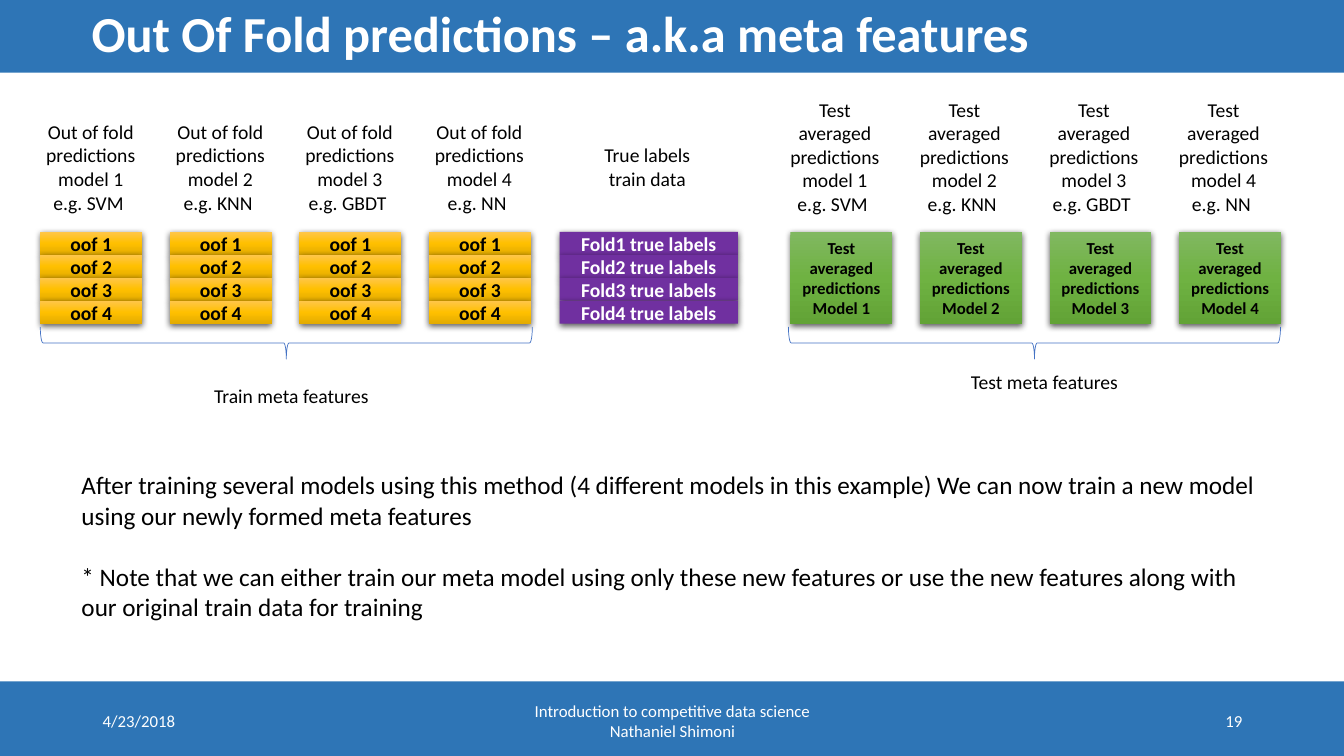
from copy import deepcopy

from lxml.etree import SubElement
from pptx import Presentation
from pptx.dml.color import RGBColor
from pptx.enum.shapes import MSO_SHAPE
from pptx.enum.text import MSO_ANCHOR, PP_ALIGN
from pptx.oxml.ns import qn
from pptx.util import Inches, Pt

BLUE = RGBColor(0x2E, 0x75, 0xB6)
BRACE = RGBColor(0x44, 0x72, 0xC4)
WHITE = RGBColor(0xFF, 0xFF, 0xFF)
BLACK = RGBColor(0x00, 0x00, 0x00)
PURPLE = [RGBColor(0x70, 0x30, 0xA0)]
GOLD = [RGBColor(0xFF, 0xC6, 0x4B), RGBColor(0xFF, 0xC0, 0x00), RGBColor(0xE3, 0xAB, 0x00)]
GREEN = [RGBColor(0x81, 0xB8, 0x61), RGBColor(0x6F, 0xB2, 0x42), RGBColor(0x62, 0xA3, 0x36)]

MODELS = ["SVM", "KNN", "GBDT", "NN"]
COL_W, COL_STEP = 1.01, 1.285
ROW_H = 0.228
HEAD_W = 1.12


def write(sp, text, size, color=BLACK, bold=False, align=PP_ALIGN.CENTER, anchor=MSO_ANCHOR.MIDDLE):
    """Put formatted text into a shape."""
    tf = sp.text_frame
    tf.word_wrap = True
    tf.vertical_anchor = anchor
    tf.text = text
    for p in tf.paragraphs:
        p.alignment = align
        for r in p.runs:
            r.font.name, r.font.size = "Calibri", Pt(size)
            r.font.color.rgb, r.font.bold = color, bold
    return tf


def add_text(s, box, text, size, **style):
    """Add a text box."""
    sp = s.shapes.add_textbox(*map(Inches, box))
    return write(sp, text, size, **style)


def add_band(s, box):
    """Add a plain blue band."""
    sp = s.shapes.add_shape(MSO_SHAPE.RECTANGLE, *map(Inches, box))
    sp.shadow.inherit = False
    sp.fill.solid()
    sp.fill.fore_color.rgb = BLUE
    sp.line.fill.background()


def add_block(s, box, text, size, colors, color=BLACK):
    """Add a shadowed block with a solid or three-stop gradient fill."""
    sp = s.shapes.add_shape(MSO_SHAPE.RECTANGLE, *map(Inches, box))
    sp.line.fill.background()
    if len(colors) == 1:
        sp.fill.solid()
        sp.fill.fore_color.rgb = colors[0]
    else:
        sp.fill.gradient()
        sp.fill.gradient_angle = 270
        stops = sp._element.spPr.find(".//" + qn("a:gsLst"))
        stops.append(deepcopy(stops[0]))
        for i, stop in enumerate(sp.fill.gradient_stops):
            stop.position = i / 2
            stop.color.rgb = colors[i]
    sp.shadow.inherit = False
    effects = sp._element.spPr.find(qn("a:effectLst"))
    shadow = SubElement(effects, qn("a:outerShdw"), blurRad=str(Pt(4.5)), dist=str(Pt(1.5)),
                        dir="5400000", algn="ctr", rotWithShape="0")
    shade = SubElement(shadow, qn("a:srgbClr"), val="000000")
    SubElement(shade, qn("a:alpha"), val="63000")
    write(sp, text, size, color=color, bold=True)


def add_stack(s, box, labels, colors, color=BLACK):
    """Fill a box with equal rows of blocks."""
    x, y, w, h = box
    row_h = h / len(labels)
    for i, label in enumerate(labels):
        add_block(s, (x, y + i * row_h, w, row_h), label, 14, colors, color)


def add_brace(s, box):
    """Add a brace that opens upward across a box."""
    x, y, w, h = box
    sp = s.shapes.add_shape(MSO_SHAPE.LEFT_BRACE, Inches(x + (w - h) / 2),
                            Inches(y + (h - w) / 2), Inches(h), Inches(w))
    sp.rotation = 270
    sp.shadow.inherit = False
    sp.fill.background()
    sp.line.color.rgb = BRACE
    sp.line.width = Pt(0.5)


def add_header(s, box):
    """Add the title band."""
    x, y, w, h = box
    add_band(s, (x, y - 0.02, w, h))
    tf = add_text(s, (x + 0.81, y, 11.5, 0.72), "Out Of Fold predictions – a.k.a meta features", 36,
                  color=WHITE, bold=True, align=PP_ALIGN.LEFT)
    tf.paragraphs[0].line_spacing = 0.9


def add_footer(s, box):
    """Add the footer band with date, course and slide number."""
    x, y, w, h = box
    add_band(s, box)
    for left, width, text, align in [
        (0.92, 3, "4/23/2018", PP_ALIGN.LEFT),
        (4.42, 4.5, "Introduction to competitive data science\nNathaniel Shimoni", PP_ALIGN.CENTER),
        (9.42, 3, "19", PP_ALIGN.RIGHT),
    ]:
        add_text(s, (x + left, y + 0.19, width, 0.4), text, 12, color=WHITE, align=align)


def add_train(s, box):
    """Add the out of fold columns with their brace."""
    x, y, w, h = box
    for i, model in enumerate(MODELS):
        left = x + i * COL_STEP
        add_stack(s, (left, y, COL_W, h), [f"oof {n}" for n in range(1, 5)], GOLD)
        add_text(s, (left - 0.06, y - 1.16, HEAD_W, 1.04),
                 f"Out of fold predictions model {i + 1} e.g. {model} ", 14, anchor=MSO_ANCHOR.TOP)
    add_brace(s, (x, y + h + 0.03, w, 0.32))
    add_text(s, (x + 0.41, y + 1.46, 4.16, 0.34), "Train meta features", 14, anchor=MSO_ANCHOR.TOP)


def add_labels(s, box):
    """Add the true label column."""
    x, y, w, h = box
    add_stack(s, box, [f"Fold{n} true labels" for n in range(1, 5)], PURPLE, WHITE)
    add_text(s, (x + 0.31, y - 0.93, HEAD_W, 0.57), "True labels train data", 14, anchor=MSO_ANCHOR.TOP)


def add_test(s, box):
    """Add the averaged test columns with their brace."""
    x, y, w, h = box
    for i, model in enumerate(MODELS):
        left = x + i * COL_STEP
        add_block(s, (left, y, COL_W, h), f"Test averaged predictions\nModel {i + 1}", 12, GREEN)
        add_text(s, (left - 0.12, y - 1.38, HEAD_W, 1.28),
                 f"Test averaged predictions model {i + 1} e.g. {model} ", 14, anchor=MSO_ANCHOR.TOP)
    add_brace(s, (x - 0.02, y + h + 0.03, w, 0.32))
    add_text(s, (x + 0.44, y + 1.32, 4.16, 0.34), "Test meta features", 14, anchor=MSO_ANCHOR.TOP)


def add_notes(s, box):
    """Add the two closing paragraphs."""
    text = ("After training several models using this method (4 different models in this example) "
            "We can now train a new model using our newly formed meta features\n"
            "* Note that we can either train our meta model using only these new features "
            "or use the new features along with our original train data for training")
    tf = add_text(s, box, text, 18, align=PP_ALIGN.LEFT, anchor=MSO_ANCHOR.TOP)
    tf.paragraphs[1].space_before = Pt(22)


def main():
    """Build and save the slide."""
    prs = Presentation()
    prs.slide_width, prs.slide_height = Inches(13.33), Inches(7.5)
    s = prs.slides.add_slide(prs.slide_layouts[6])
    add_footer(s, (0, 6.76, 13.33, 0.74))
    add_header(s, (0, 0, 13.33, 0.74))
    top, height = 2.3, 4 * ROW_H
    add_train(s, (0.4, top, 4.88, height))
    add_labels(s, (5.55, top, 1.77, height))
    add_test(s, (7.84, top, 4.88, height))
    add_notes(s, (0.71, 4.61, 11.91, 1.62))
    prs.save("out.pptx")


main()
